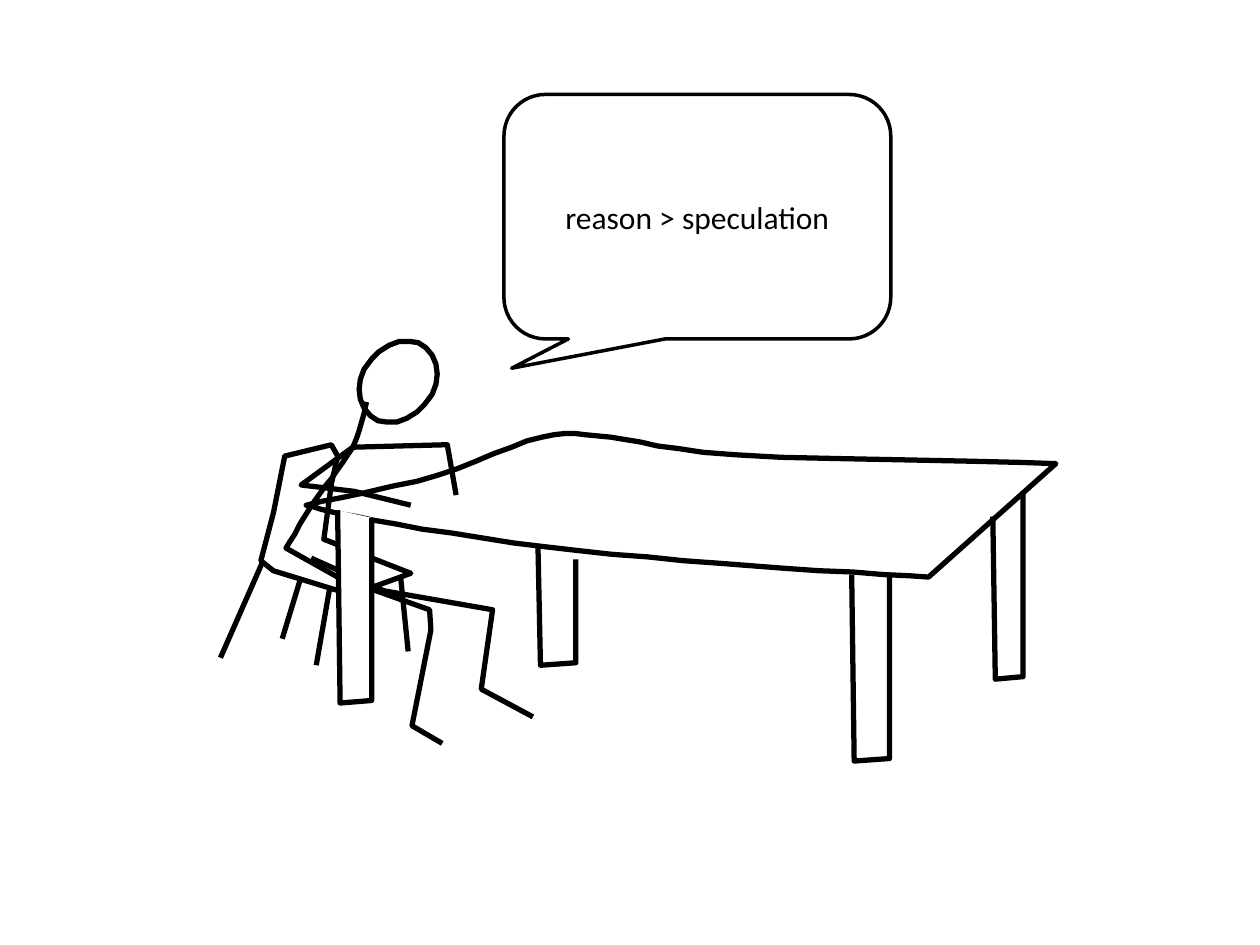
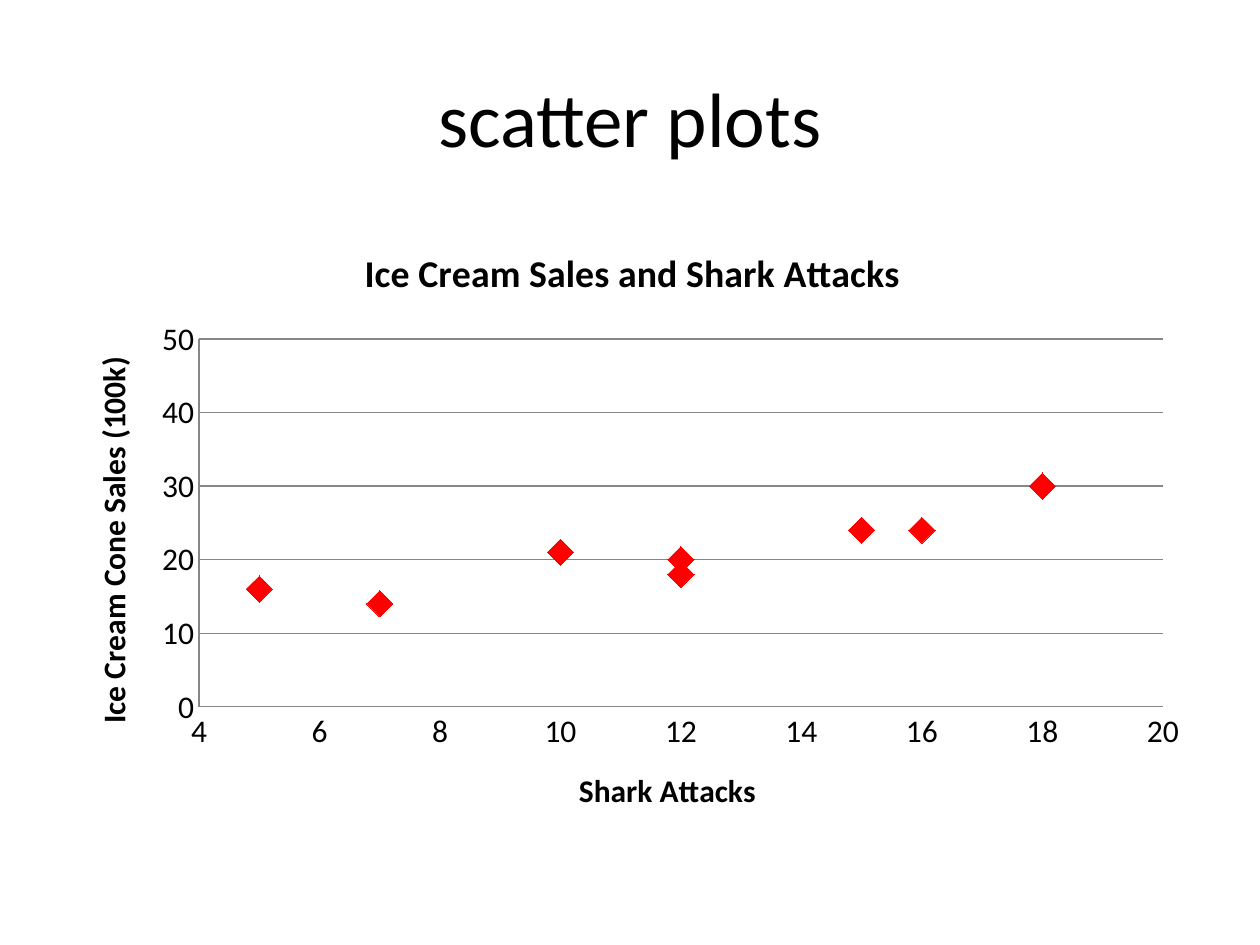
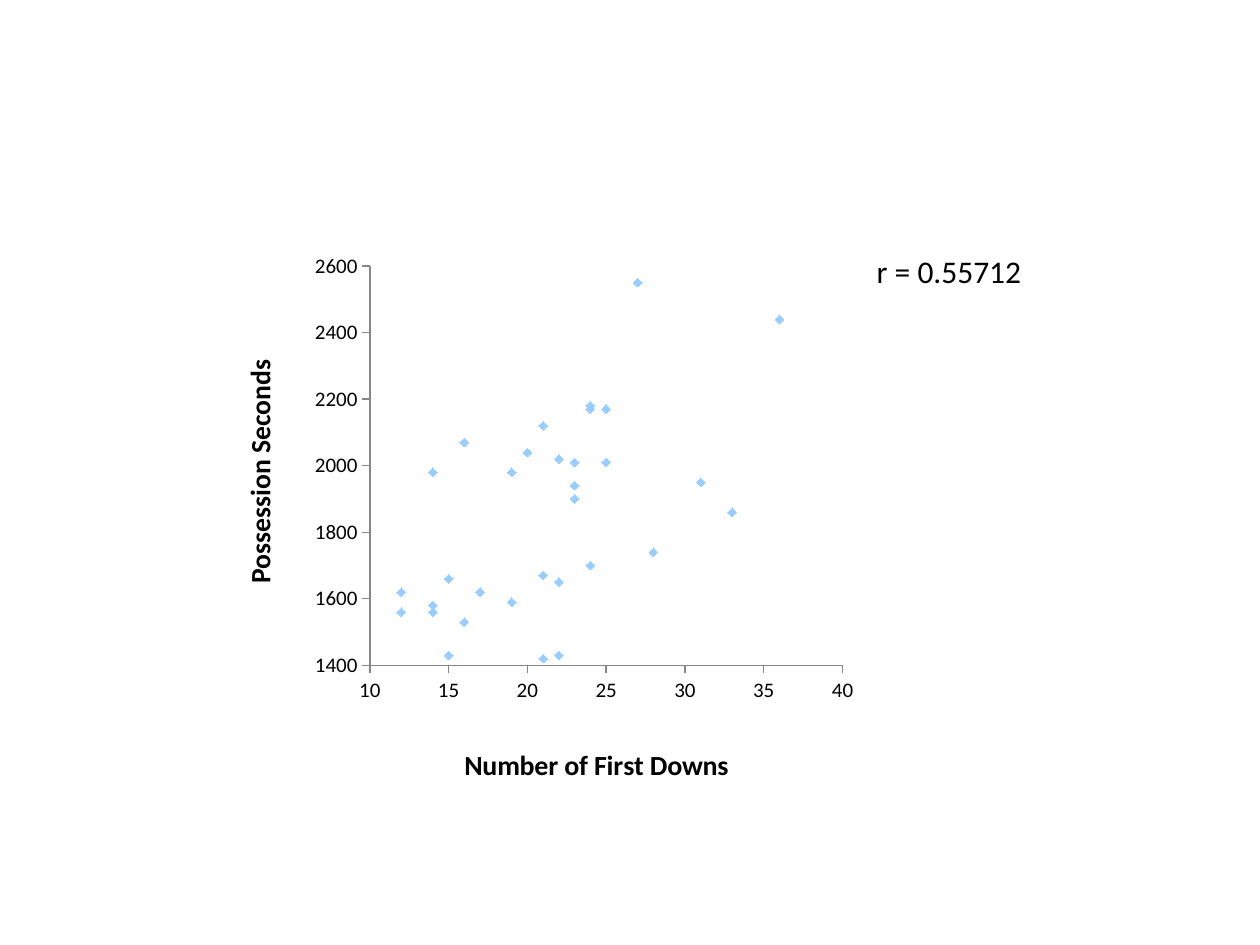
from math import cos, pi, radians, sin

from lxml import etree
from pptx import Presentation
from pptx.chart.data import XyChartData
from pptx.dml.color import RGBColor
from pptx.enum.chart import XL_AXIS_CROSSES, XL_CHART_TYPE, XL_MARKER_STYLE, XL_TICK_MARK
from pptx.enum.shapes import MSO_SHAPE
from pptx.enum.text import MSO_ANCHOR, MSO_AUTO_SIZE, PP_ALIGN
from pptx.oxml.ns import qn
from pptx.util import Inches, Pt

BLACK = RGBColor(0x00, 0x00, 0x00)
GREY = RGBColor(0x86, 0x86, 0x86)
RED = RGBColor(0xFF, 0x00, 0x00)
SKY = RGBColor(0x99, 0xCC, 0xFF)
WHITE = RGBColor(0xFF, 0xFF, 0xFF)

CENTER = PP_ALIGN.CENTER
MIDDLE = MSO_ANCHOR.MIDDLE
GROW = MSO_AUTO_SIZE.SHAPE_TO_FIT_TEXT
CALLOUT = MSO_SHAPE.ROUNDED_RECTANGULAR_CALLOUT
SCATTER = XL_CHART_TYPE.XY_SCATTER
DIAMOND = XL_MARKER_STYLE.DIAMOND
AT_MINIMUM = XL_AXIS_CROSSES.MINIMUM
NO_TICK, OUTSIDE = XL_TICK_MARK.NONE, XL_TICK_MARK.OUTSIDE

FONT = "Calibri"
WIDTH, HEIGHT = Inches(10), Inches(7.5)
COLUMNS = 1000
CELL = WIDTH // COLUMNS
TITLE_ONLY, BLANK = 5, 6
CURVE_STEPS = 6
HEAD_SIDES = 24

ATTACKS = [12, 15, 16, 5, 10, 12, 18, 7]
CONE_SALES = [20, 24, 24, 16, 21, 18, 30, 14]
FIRST_DOWNS = [
    24, 12, 19, 12, 23, 36, 15, 24, 21, 19, 27, 16, 25, 22, 33, 22,
    22, 20, 17, 14, 24, 21, 23, 21, 23, 25, 14, 16, 15, 31, 28, 14]
POSSESSION = [
    2170, 1560, 1980, 1620, 1900, 2440, 1660, 2180, 2120, 1590, 2550, 1530, 2170, 1650, 1860, 2020,
    1430, 2040, 1620, 1980, 1700, 1670, 1940, 1420, 2010, 2010, 1560, 2070, 1430, 1950, 1740, 1580]


def set_all(target, values):
    """Set each attribute named in values on the target."""
    for name, value in values.items():
        setattr(target, name, value)


def set_font(font, size, bold=False):
    """Give a font the deck's typeface and black colour."""
    set_all(font, {"name": FONT, "size": Pt(size), "bold": bold})
    font.color.rgb = BLACK


def grid(*cells):
    """Turn counts of grid cells into lengths."""
    return [CELL * count for count in cells]


def write(frame, text, size, align=None):
    """Write one formatted paragraph into a text frame."""
    para = frame.paragraphs[0]
    para.alignment = align
    span = para.add_run()
    span.text = text
    set_font(span.font, size)


def outline(shape, width, fill=None):
    """Give a shape a black line and an optional fill."""
    shape.shadow.inherit = False
    shape.line.color.rgb = BLACK
    shape.line.width = Pt(width)
    if fill is None:
        shape.fill.background()
    else:
        shape.fill.solid()
        shape.fill.fore_color.rgb = fill


def add_stroke(page, points, closed=False, fill=None):
    """Draw a pen stroke through grid points."""
    builder = page.shapes.build_freeform(*points[0], scale=CELL)
    builder.add_line_segments(points[1:], close=closed)
    outline(builder.convert_to_shape(), 3, fill)


def blend(before, start, end, after, share):
    """Find the Catmull-Rom value at a share of the way from start to end."""
    slope = end - before
    bend = 2 * before - 5 * start + 4 * end - after
    twist = 3 * (start - end) + after - before
    return start + (slope * share + bend * share ** 2 + twist * share ** 3) / 2


def curve(*knots):
    """Return points of a smooth curve that passes through the knots."""
    padded = [knots[0], *knots, knots[-1]]
    points = [knots[0]]
    for span in zip(padded, padded[1:], padded[2:], padded[3:]):
        for step in range(1, CURVE_STEPS + 1):
            points.append(tuple(blend(*values, step / CURVE_STEPS) for values in zip(*span)))
    return points


def tilted_ellipse(center, long_radius, short_radius, tilt):
    """Return points around an ellipse turned by tilt degrees."""
    turn = radians(tilt)
    points = []
    for side in range(HEAD_SIDES):
        angle = 2 * pi * side / HEAD_SIDES
        along, across = long_radius * cos(angle), short_radius * sin(angle)
        points.append((center[0] + along * cos(turn) - across * sin(turn),
                       center[1] + along * sin(turn) + across * cos(turn)))
    return points


def draw_chair(page):
    """Draw the chair's back and seat, then its four legs."""
    back_left, back_right = (226, 362), (263, 353)
    seat_back, seat_front, seat_right, seat_inner = (207, 445), (279, 472), (326, 455), (257, 428)
    back = [back_left, (217, 407), seat_back, (217, 453), seat_front, seat_right,
            seat_inner, (263, 384), (268, 362), back_right]
    add_stroke(page, back, closed=True)
    legs = {(208, 447): (175, 522), (262, 465): (251, 528),
            (238, 461): (224, 507), (318, 458): (324, 517)}
    for joint, foot in legs.items():
        add_stroke(page, [joint, foot])


def draw_person(page):
    """Draw the head, then the limbs from joint to joint."""
    neck, shoulder, hip = (291, 319), (280, 355), (227, 435)
    spine = curve(neck, shoulder, (253, 393), hip)
    knee, ankle, toe = (341, 484), (327, 576), (351, 590)
    far_hip, far_knee, far_ankle, far_toe = (247, 443), (391, 484), (382, 547), (423, 569)
    elbow, hand = (239, 385), (326, 401)
    far_elbow, far_hand = (355, 353), (362, 393)
    add_stroke(page, tilted_ellipse((316, 303), 35, 28, -50), closed=True)
    add_stroke(page, spine + [(268, 458), knee, (342, 500), ankle, toe])
    add_stroke(page, [far_hip, (305, 469), far_knee, far_ankle, far_toe])
    add_stroke(page, [shoulder, elbow, (281, 390), hand])
    add_stroke(page, [shoulder, far_elbow, far_hand])


def draw_leg(page, left, width, left_top, right_top, floor, fill=None):
    """Draw a table leg that is open at the top."""
    right = left + width
    corners = [(left, left_top), (left + 2, floor), (right, floor - 2), (right, right_top)]
    add_stroke(page, corners, fill=fill)


def draw_table(page):
    """Draw the table's top and its four legs."""
    near_left, far_left, far_right, near_right = (243, 401), (430, 347), (838, 368), (737, 458)
    back_edge = curve(near_left, (348, 377), far_left, (485, 347), (584, 361), far_right)
    front_edge = curve(near_right, (596, 449), (433, 434), (297, 413), near_left)
    add_stroke(page, back_edge + front_edge, closed=True)
    draw_leg(page, 676, 30, 456, 455, 604)
    draw_leg(page, 788, 24, 410, 390, 539)
    draw_leg(page, 427, 30, 434, 444, 528)
    draw_leg(page, 268, 27, 405, 411, 558, WHITE)


def add_bubble(page, text, cells):
    """Add a speech bubble."""
    bubble = page.shapes.add_shape(CALLOUT, *grid(*cells))
    for index, value in enumerate((-0.48, 0.62, 0.17)):
        bubble.adjustments[index] = value
    outline(bubble, 2)
    set_all(bubble.text_frame, {"word_wrap": True, "vertical_anchor": MIDDLE})
    write(bubble.text_frame, text, 18, CENTER)


def add_note(page, text, cells):
    """Add a free line of text."""
    box = page.shapes.add_textbox(*grid(*cells))
    set_all(box.text_frame, {"word_wrap": True, "auto_size": GROW})
    write(box.text_frame, text, 18)


def make_layout(inner=False, **shares):
    """Build a manual layout from shares of the chart's size."""
    layout = etree.Element(qn("c:layout"))
    manual = etree.SubElement(layout, qn("c:manualLayout"))
    settings = {"layoutTarget": "inner"} if inner else {}
    settings.update(xMode="edge", yMode="edge", **shares)
    for name, value in settings.items():
        etree.SubElement(manual, qn(f"c:{name}")).set("val", str(value))
    return layout


def replace_layout(parent, layout, position):
    """Put a layout into a chart part in place of the present one."""
    for present in parent.findall(qn("c:layout")):
        parent.remove(present)
    parent.insert(position, layout)


def add_title(owner, text, size, left, top):
    """Give a chart or an axis a bold title at a share of the chart's size."""
    owner.has_title = True
    title = owner.chart_title if hasattr(owner, "chart_title") else owner.axis_title
    span = title.text_frame.paragraphs[0].add_run()
    span.text = text
    set_font(span.font, size, True)
    replace_layout(title._element, make_layout(x=left, y=top), 1)


def style_axis(axis, low, high, step, tick, has_grid=False):
    """Set an axis's scale, ticks and lines."""
    set_all(axis, {
        "minimum_scale": low, "maximum_scale": high, "major_unit": step,
        "major_tick_mark": tick, "minor_tick_mark": NO_TICK,
        "has_major_gridlines": has_grid, "crosses": AT_MINIMUM})
    axis.format.line.color.rgb = GREY
    if has_grid:
        axis.major_gridlines.format.line.color.rgb = GREY


def add_scatter(page, cells, points, plot, size, marker_size, color):
    """Add a scatter chart of diamonds and return it."""
    data = XyChartData()
    series_data = data.add_series("Series 1")
    for across, up in points:
        series_data.add_data_point(across, up)
    chart = page.shapes.add_chart(SCATTER, *grid(*cells), data).chart
    set_all(chart, {"has_legend": False, "has_title": False})
    set_font(chart.font, size)
    chart.plots[0].vary_by_categories = False
    series = chart.plots[0].series[0]
    series.smooth = False
    series.format.line.fill.background()
    set_all(series.marker, {"style": DIAMOND, "size": marker_size})
    series.marker.format.fill.solid()
    series.marker.format.fill.fore_color.rgb = color
    series.marker.format.line.color.rgb = color
    replace_layout(chart._chartSpace.chart.plotArea, make_layout(True, **plot), 0)
    return chart


def draw_scene(page):
    """Draw a seated figure speaking at a table."""
    draw_chair(page)
    draw_person(page)
    draw_table(page)
    add_bubble(page, "reason > speculation", (400, 75, 307, 194))


def draw_sharks(page):
    """Show cone sales against shark attacks."""
    title = page.shapes.title
    set_all(title, dict(zip(("left", "top", "width", "height"), grid(50, 30, 900, 125))))
    title.text_frame.vertical_anchor = MIDDLE
    write(title.text_frame, "scatter plots", 44, CENTER)
    plot = {"x": 0.12, "y": 0.19, "w": 0.85, "h": 0.59}
    chart = add_scatter(page, (50, 175, 900, 495), zip(ATTACKS, CONE_SALES), plot, 18, 15, RED)
    style_axis(chart.category_axis, 4, 20, 2, NO_TICK)
    style_axis(chart.value_axis, 0, 50, 10, NO_TICK, True)
    add_title(chart, "Ice Cream Sales and Shark Attacks", 21.6, 0.26, 0.03)
    add_title(chart.category_axis, "Shark Attacks", 18, 0.45, 0.87)
    add_title(chart.value_axis, "Ice Cream Cone Sales (100k)", 18, 0.02, 0.21)


def draw_downs(page):
    """Show possession time against first downs."""
    plot = {"x": 0.22, "y": 0.04, "w": 0.74, "h": 0.74}
    chart = add_scatter(page, (182, 194, 507, 434), zip(FIRST_DOWNS, POSSESSION), plot, 12, 5, SKY)
    style_axis(chart.category_axis, 10, 40, 5, OUTSIDE)
    style_axis(chart.value_axis, 1400, 2600, 200, OUTSIDE)
    add_title(chart.category_axis, "Number of First Downs", 16, 0.36, 0.92)
    add_title(chart.value_axis, "Possession Seconds", 16, 0.01, 0.21)
    add_note(page, "r = 0.55712", (686, 195, 203, 40))


def main():
    """Build the deck."""
    deck = Presentation()
    set_all(deck, {"slide_width": WIDTH, "slide_height": HEIGHT})
    for layout, draw in ((BLANK, draw_scene), (TITLE_ONLY, draw_sharks), (BLANK, draw_downs)):
        draw(deck.slides.add_slide(deck.slide_layouts[layout]))
    deck.save("out.pptx")


if __name__ == "__main__":
    main()
